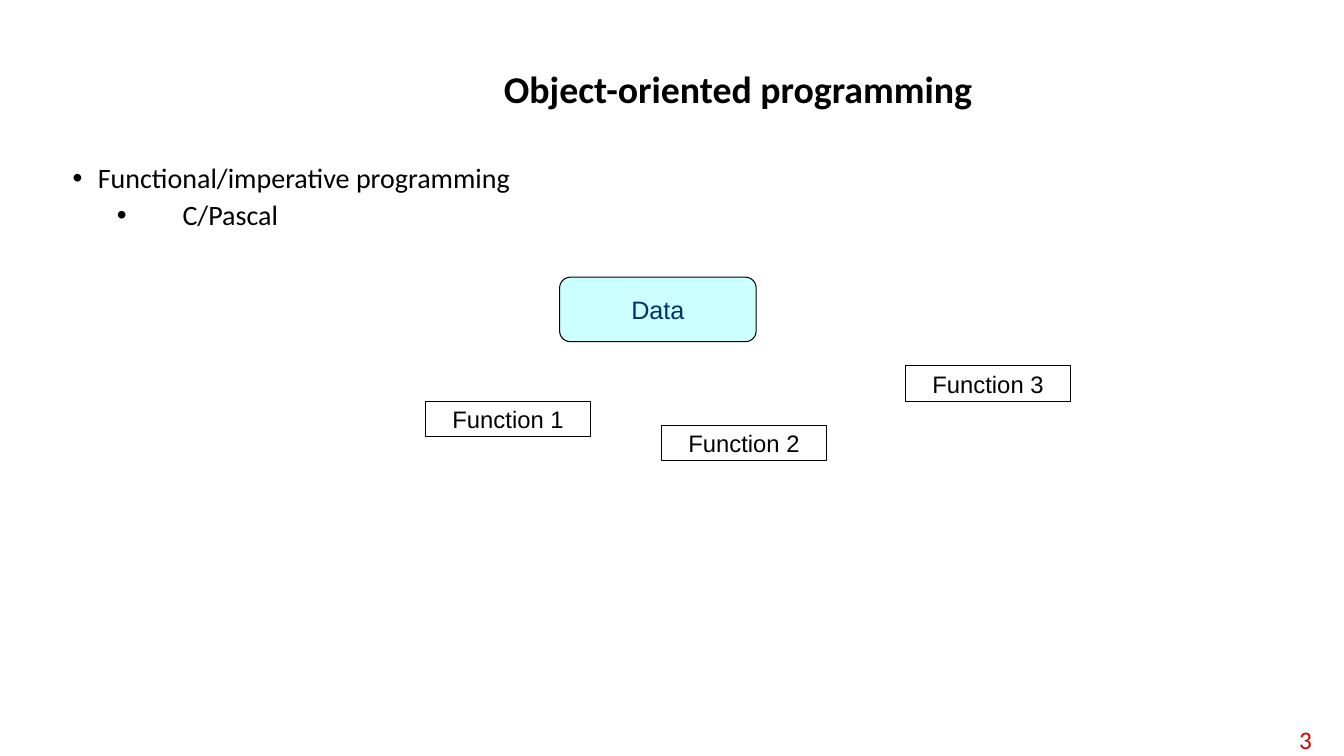
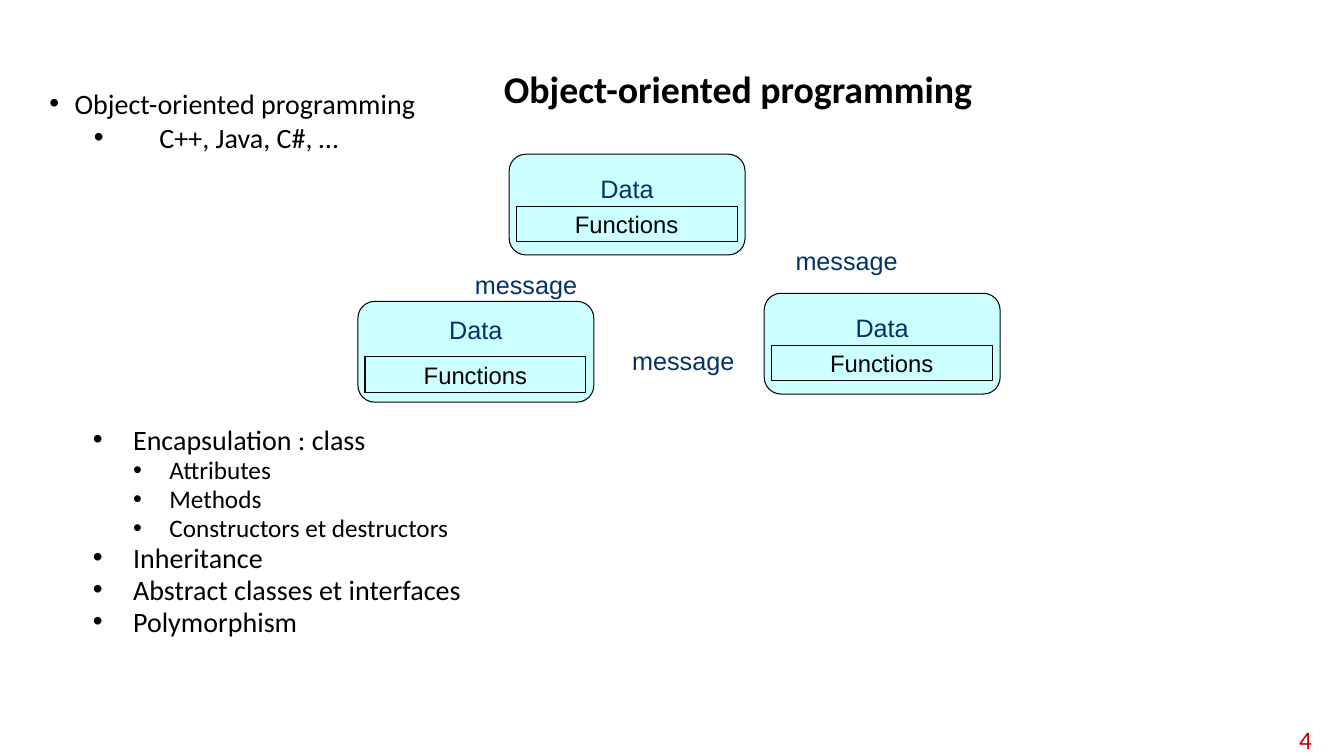
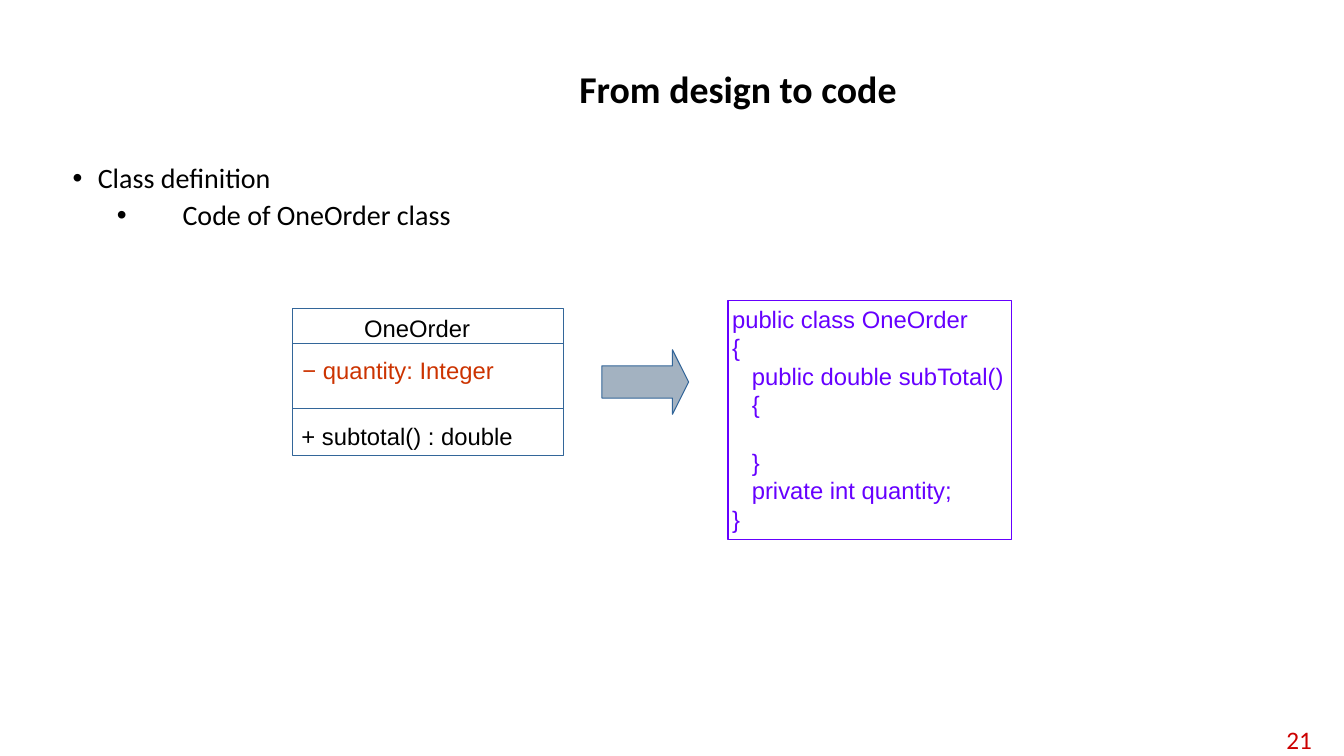
"""Build three slides on object-oriented programming."""
from lxml.etree import SubElement
from pptx import Presentation
from pptx.dml.color import RGBColor as RGB
from pptx.enum.shapes import MSO_CONNECTOR as Line, MSO_SHAPE as Kind
from pptx.enum.text import MSO_ANCHOR as Anchor, MSO_AUTO_SIZE as Fit, PP_ALIGN as Align
from pptx.oxml.ns import qn
from pptx.util import Inches, Pt

COLORS = {
    "black": "000000", "red": "CC0000", "aqua": "CCFFFF", "navy": "003366",
    "blue": "336699", "steel": "A3B2C1", "rust": "CC3300", "violet": "6600FF",
}
STYLES = {
    "head": (0, 0.25, 0.25, 20),
    "sub": (1, 1.09, 0.65, 20),
    "point": (1, 0.83, 0.4, 20),
    "leaf": (2, 1.19, 0.36, 18),
}
WIDE = (0.62, 1.58, 11.8, 5.17)
PAGES = [
    ("3", "Object-oriented programming", WIDE, 0.9, [
        ("head", "Functional/imperative programming", 0),
        ("sub", "C/Pascal", 5),
    ]),
    ("4", "Object-oriented programming", (0.39, 0.87, 12.56, 5.9), 0.8, [
        ("head", "Object-oriented programming", 0),
        ("sub", "C++, Java, C#, …", 5),
        ("point", "Encapsulation : class", 196.5),
        ("leaf", "Attributes", 3.4),
        ("leaf", "Methods", 3.4),
        ("leaf", "Constructors et destructors", 3.4),
        ("point", "Inheritance", 3.4),
        ("point", "Abstract classes et interfaces", 3.4),
        ("point", "Polymorphism", 3.4),
    ]),
    ("21", "From design to code", WIDE, 0.9, [
        ("head", "Class definition", 0),
        ("sub", "Code of OneOrder class", 5),
    ]),
]
CODE = """public class OneOrder
{
   public double subTotal()
   {
\t
   }
   private int quantity;
}"""


def write(item, text, size, color, align=Align.LEFT, font="Arial", inset=0.04, anchor=Anchor.TOP):
    """Fill a shape with unwrapped text in one style."""
    frame = item.text_frame
    frame.text = text
    frame.word_wrap = False
    frame.vertical_anchor = anchor
    frame.margin_left = frame.margin_right = Inches(0.04)
    frame.margin_top = frame.margin_bottom = Inches(inset)
    for para in frame.paragraphs:
        para.alignment = align
        para.font.name = font
        para.font.size = Pt(size)
        para.font.color.rgb = RGB.from_string(COLORS[color])


def draw(slide, kind, box, fill, line, width=0.75):
    """Add a flat shape with an optional fill."""
    shape = slide.shapes.add_shape(kind, *map(Inches, box))
    shape.shadow.inherit = False
    if fill:
        shape.fill.solid()
        shape.fill.fore_color.rgb = RGB.from_string(COLORS[fill])
    else:
        shape.fill.background()
    shape.line.color.rgb = RGB.from_string(COLORS[line])
    shape.line.width = Pt(width)
    return shape


deck = Presentation()
deck.slide_width, deck.slide_height = Inches(13.33), Inches(7.5)

for number, name, box, space, items in PAGES:
    slide = deck.slides.add_slide(deck.slide_layouts[1])
    title, body = slide.placeholders
    title.left, title.top, title.width, title.height = map(Inches, (2.23, 0.4, 10.18, 1.02))
    title.text_frame.text = name
    title.text_frame.auto_size = Fit.NONE
    title.text_frame.vertical_anchor = Anchor.MIDDLE
    para = title.text_frame.paragraphs[0]
    para.alignment = Align.CENTER
    para.line_spacing = 0.9
    para.font.name, para.font.size, para.font.bold = "Calibri", Pt(27), True
    para.font.color.rgb = RGB.from_string(COLORS["black"])

    body.left, body.top, body.width, body.height = map(Inches, box)
    frame = body.text_frame
    frame.text = "\n".join(text for _, text, _ in items)
    frame.auto_size = Fit.NONE
    for para, (style, _, before) in zip(frame.paragraphs, items):
        level, left, hang, size = STYLES[style]
        para.level = level
        para.line_spacing = space
        para.space_before = Pt(before)
        props = para._p.get_or_add_pPr()
        props.set("marL", str(Inches(left)))
        props.set("indent", str(-Inches(hang)))
        SubElement(props, qn("a:buFont"), typeface="Arial")
        SubElement(props, qn("a:buChar"), char="•")
        para.font.name, para.font.size = "Calibri", Pt(size)
        para.font.color.rgb = RGB.from_string(COLORS["black"])

    label = slide.shapes.add_textbox(*map(Inches, (12.42, 7.16, 0.69, 0.36)))
    write(label, number, 18, "red", Align.RIGHT, "Calibri", anchor=Anchor.MIDDLE)
    label.text_frame.margin_right = Inches(0.1)

first, second, third = deck.slides

data = draw(first, Kind.ROUNDED_RECTANGLE, (5.55, 2.75, 1.95, 0.64), "aqua", "black")
write(data, "Data", 18, "navy", Align.CENTER, anchor=Anchor.MIDDLE)
for text, left, top in [("Function 1", 4.22, 3.98), ("Function 2", 6.56, 4.22), ("Function 3", 8.98, 3.63)]:
    rect = draw(first, Kind.RECTANGLE, (left, top, 1.64, 0.35), None, "black")
    write(rect, text, 17, "black", Align.CENTER, anchor=Anchor.MIDDLE)

for left, top, inset, drop in [(5.05, 1.53, 0.14, 0.52), (3.55, 2.99, 0.08, 0.55), (7.58, 2.91, 0.14, 0.52)]:
    card = draw(second, Kind.ROUNDED_RECTANGLE, (left, top, 2.34, 1), "aqua", "black")
    write(card, "Data", 18, "navy", Align.CENTER, inset=inset)
    rect = draw(second, Kind.RECTANGLE, (left + 0.07, top + drop, 2.19, 0.35), None, "black")
    write(rect, "Functions", 17, "black", Align.CENTER, anchor=Anchor.MIDDLE)
for left, top in [(4.67, 2.63), (7.85, 2.39), (6.23, 3.39)]:
    label = second.shapes.add_textbox(*map(Inches, (left, top, 1.11, 0.39)))
    write(label, "message", 18, "navy")

draw(third, Kind.RECTANGLE, (2.9, 3.06, 2.69, 1.46), None, "blue", 1)
for text, color, left, top, width in [
    ("OneOrder", "black", 3.57, 3.07, 1.15),
    ("− quantity: Integer", "rust", 2.96, 3.49, 2.01),
    ("+ subtotal() : double", "black", 2.95, 4.14, 2.2),
]:
    label = third.shapes.add_textbox(*map(Inches, (left, top, width, 0.37)))
    write(label, text, 17, color)
for top in (3.41, 4.05):
    rule = third.shapes.add_connector(Line.STRAIGHT, *map(Inches, (2.9, top, 5.59, top)))
    rule.line.color.rgb = RGB.from_string(COLORS["blue"])
    rule.line.width = Pt(1)
    SubElement(rule._element.spPr, qn("a:effectLst"))
arrow = draw(third, Kind.RIGHT_ARROW, (5.97, 3.47, 0.86, 0.64), "steel", "blue")
arrow.adjustments[1] = 0.25
code = draw(third, Kind.RECTANGLE, (7.22, 2.98, 2.81, 2.37), None, "violet", 1)
write(code, CODE, 17, "violet")

deck.save("out.pptx")
